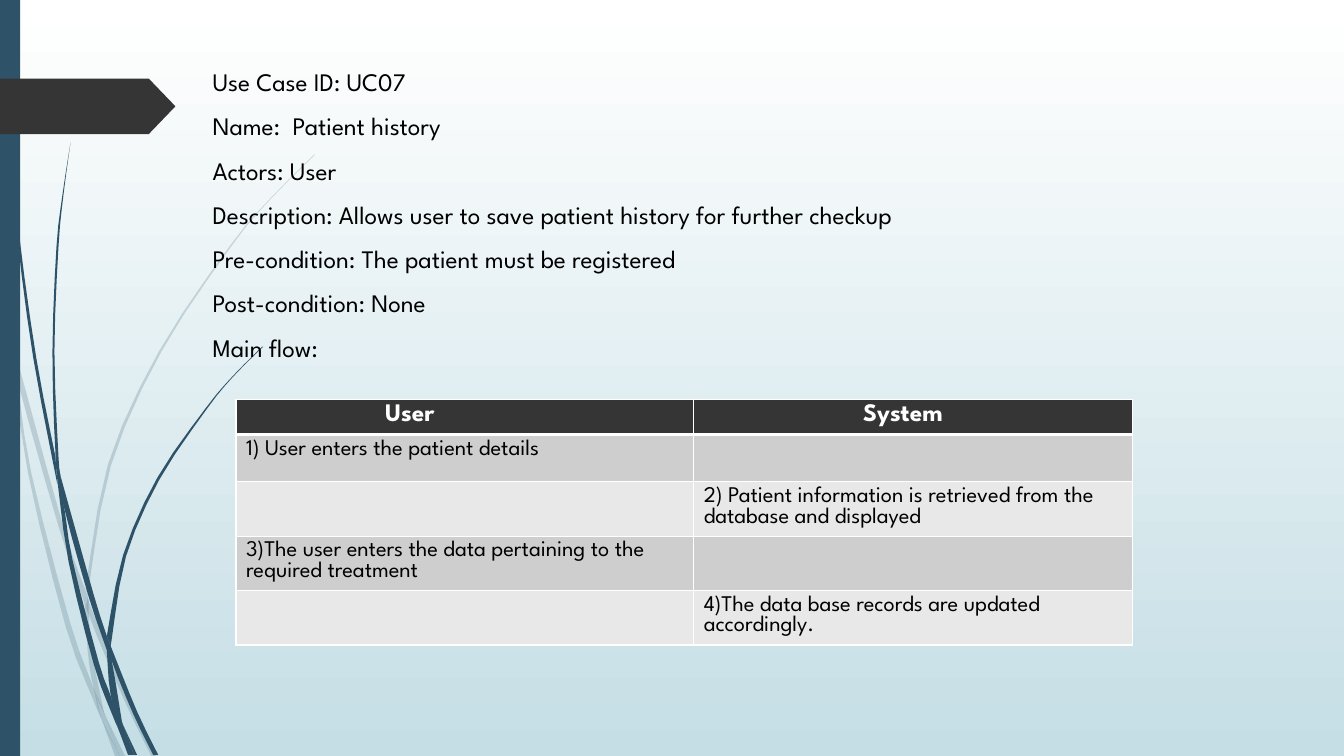
import lxml.etree
import pptx
import pptx.dml.color
import pptx.enum.shapes
import pptx.oxml.ns
import pptx.util

Inches = pptx.util.Inches
Shape = pptx.enum.shapes.MSO_SHAPE
qn = pptx.oxml.ns.qn


class Theme:
    font = "League Spartan"
    blue, dark, black, white = "2E5369", "353535", "000000", "FFFFFF"
    sky = "C5DEE5"
    bands = "CECECE", "E8E8E8"
    body, cell = 18, 16
    tight = 0.92


def color(code):
    return pptx.dml.color.RGBColor.from_string(code)


def write(frame, lines, size=Theme.body, ink=Theme.black, bold=False, before=0, pitch=None):
    frame.word_wrap = True
    for i, line in enumerate(lines):
        para = frame.add_paragraph() if i else frame.paragraphs[0]
        para.space_before = pptx.util.Pt(before)
        if pitch:
            para.line_spacing = pptx.util.Pt(size * pitch)
        run = para.add_run()
        run.text = line
        run.font.name = Theme.font
        run.font.size = pptx.util.Pt(size)
        run.font.bold = bold
        run.font.color.rgb = color(ink)


def smooth(knots, steps=3):
    if len(knots) < 3:
        return knots
    ends = [knots[0], *knots, knots[-1]]
    curve = []
    for a, b, c, d in zip(ends, ends[1:], ends[2:], ends[3:]):
        for i in range(steps):
            t = i / steps
            curve.append(tuple(
                q + t * (r - p) / 2 + t * t * (2 * p - 5 * q + 4 * r - s) / 2
                + t ** 3 * (3 * q - p - 3 * r + s) / 2
                for p, q, r, s in zip(a, b, c, d)))
    return curve + [knots[-1]]


class Board:
    def __init__(self, slide, theme):
        self.slide, self.theme = slide, theme

    def sky(self):
        fill = self.slide.background.fill
        fill.gradient()
        fill.gradient_angle = 270
        for stop, code in zip(fill.gradient_stops, (self.theme.white, self.theme.sky)):
            stop.color.rgb = color(code)

    def paint(self, shape, code, alpha=100):
        shape.shadow.inherit = False
        shape.fill.solid()
        shape.fill.fore_color.rgb = color(code)
        shape.line.fill.background()
        if alpha < 100:
            tint = shape.fill._xPr.find(".//" + qn("a:srgbClr"))
            lxml.etree.SubElement(tint, qn("a:alpha")).set("val", str(alpha * 1000))

    def shape(self, kind, box, code):
        item = self.slide.shapes.add_shape(kind, *map(Inches, box))
        self.paint(item, code)
        return item

    def blade(self, left, right, alpha):
        edge = smooth(left) + smooth(right)[::-1]
        dots = [(Inches(x), Inches(y)) for x, y in edge]
        pen = self.slide.shapes.build_freeform(*dots[0])
        pen.add_line_segments(dots[1:], close=True)
        self.paint(pen.convert_to_shape(), self.theme.blue, alpha)

    def text(self, box, lines, **style):
        write(self.slide.shapes.add_textbox(*map(Inches, box)).text_frame, lines, **style)

    def cell(self, cell, text, code, base=1, **style):
        if text:
            write(cell.text_frame, [text], pitch=self.theme.tight, **style)
        cell.fill.solid()
        cell.fill.fore_color.rgb = color(code)
        props = cell._tc.get_or_add_tcPr()
        for i, (side, width) in enumerate((("L", 1), ("R", 1), ("T", 1), ("B", base))):
            line = props.makeelement(qn("a:ln" + side), {"w": str(pptx.util.Pt(width))})
            fill = lxml.etree.SubElement(line, qn("a:solidFill"))
            lxml.etree.SubElement(fill, qn("a:srgbClr")).set("val", self.theme.white)
            props.insert(i, line)

    def table(self, box, cols, rows, heads, steps):
        grid = self.slide.shapes.add_table(len(rows), len(cols), *map(Inches, box)).table
        for col, width in zip(grid.columns, cols):
            col.width = Inches(width)
        for row, height in zip(grid.rows, rows):
            row.height = Inches(height)
        for j, (head, inset) in enumerate(heads):
            top = grid.cell(0, j)
            top.margin_left = Inches(inset)
            self.cell(top, head, self.theme.dark, base=3, ink=self.theme.white, bold=True)
        for i, step in enumerate(steps):
            for j in range(len(cols)):
                self.cell(grid.cell(i + 1, j), step if j == i % 2 else "",
                          self.theme.bands[i % 2], size=self.theme.cell)


PALE = [
    ([(0, 2.99), (0.1, 3.44), (0.11, 3.5)], [(0, 2.82), (0.09, 3.22), (0.11, 3.5)]),
    ([(0.14, 3.45), (0.17, 3.76), (0.58, 5.22), (0.84, 5.99)],
     [(0.14, 3.45), (0.62, 5.2), (0.85, 5.86)]),
    ([(0.88, 5.96), (0.88, 6.1), (1.23, 6.94), (1.5, 7.5)],
     [(0.88, 5.96), (0.92, 6.07), (1.27, 6.92), (1.55, 7.5)]),
    ([(1.05, 7.11), (1.19, 7.5)], [(1.05, 7.11), (1.24, 7.5)]),
    ([(0.11, 3.5), (0.28, 4.7), (0.65, 6.21), (0.92, 6.93), (1.01, 7.14)],
     [(0.11, 3.5), (0.17, 3.76), (0.31, 4.69), (0.7, 6.19), (0.93, 6.83), (0.99, 7.07)]),
    ([(0.84, 5.99), (0.87, 6.46), (0.93, 6.83), (1.05, 7.11)],
     [(0.84, 5.99), (0.88, 6.1), (0.91, 6.46), (1.03, 7.06)]),
    ([(3.12, 1.53), (2.68, 1.97), (2.28, 2.44), (1.58, 3.48), (1.07, 4.61), (0.85, 5.84)],
     [(3.12, 1.54), (2.68, 1.98), (2.29, 2.45), (1.6, 3.49), (1.1, 4.62), (0.88, 5.84),
      (0.88, 5.96)]),
    ([(1.01, 7.14), (1.14, 7.5)], [(1.01, 7.14), (1.19, 7.5)]),
    ([(0.85, 5.86), (0.84, 5.99)], [(0.88, 5.96), (0.88, 6.1)]),
    ([(0.93, 6.83), (1.01, 7.14), (1.19, 7.5)], [(0.93, 6.83), (1.05, 7.11), (1.19, 7.5)]),
]
DEEP = [
    ([(0.03, 0), (0.04, 0.48), (0.07, 1.1), (0.17, 2.33), (0.33, 3.55), (0.57, 4.81)],
     [(0.04, 0), (0.05, 0.48), (0.08, 1.09), (0.19, 2.32), (0.36, 3.55), (0.55, 4.53)]),
    ([(0.6, 4.72), (0.64, 5.05), (0.88, 5.92), (1.06, 6.45)],
     [(0.6, 4.72), (0.93, 5.9), (1.06, 6.31)]),
    ([(1.1, 6.41), (1.11, 6.56), (1.32, 7.08), (1.52, 7.49)],
     [(1.1, 6.41), (1.13, 6.49), (1.36, 7.06), (1.57, 7.49)]),
    ([(0.57, 4.77), (0.68, 5.57), (0.93, 6.59), (1.11, 7.08), (1.17, 7.22)],
     [(0.57, 4.77), (0.64, 5.05), (0.72, 5.56), (0.98, 6.57), (1.1, 6.91), (1.16, 7.17)]),
    ([(0.7, 1.41), (0.62, 1.93), (0.56, 2.45), (0.52, 3.49), (0.55, 4.49), (0.6, 4.72)],
     [(0.7, 1.41), (0.63, 1.93), (0.58, 2.45), (0.54, 3.49), (0.58, 4.53), (0.6, 4.72)]),
    ([(1.22, 7.19), (1.33, 7.49)], [(1.22, 7.19), (1.36, 7.49)]),
    ([(0.55, 4.49), (0.57, 4.77), (0.64, 5.05)], [(0.55, 4.49), (0.6, 4.72), (0.64, 5.05)]),
    ([(2.6, 3.44), (2.31, 3.73), (2.04, 4.05), (1.56, 4.74), (1.22, 5.51), (1.06, 6.31)],
     [(2.61, 3.44), (2.31, 3.74), (2.05, 4.06), (1.58, 4.76), (1.25, 5.52), (1.11, 6.33),
      (1.1, 6.41)]),
    ([(1.17, 7.22), (1.27, 7.49)], [(1.17, 7.22), (1.31, 7.49)]),
    ([(1.06, 6.45), (1.1, 6.91), (1.22, 7.19)], [(1.06, 6.45), (1.11, 6.56), (1.21, 7.16)]),
    ([(1.06, 6.31), (1.06, 6.45)], [(1.1, 6.41), (1.11, 6.56)]),
    ([(1.1, 6.91), (1.17, 7.22), (1.3, 7.49)], [(1.1, 6.91), (1.22, 7.19), (1.33, 7.49)]),
]
FACTS = [
    "Use Case ID: UC07",
    "Name:  Patient history",
    "Actors: User",
    "Description: Allows user to save patient history for further checkup",
    "Pre-condition: The patient must be registered",
    "Post-condition: None",
    "Main flow:",
]
STEPS = [
    "1) User enters the patient details",
    "2) Patient information is retrieved from the database and displayed",
    "3)The user enters the data pertaining to the required treatment",
    "4)The data base records are updated accordingly.",
]


def main():
    deck = pptx.Presentation()
    deck.slide_width, deck.slide_height = Inches(13.33), Inches(7.5)
    board = Board(deck.slides.add_slide(deck.slide_layouts[6]), Theme())
    board.sky()
    for blades, alpha in ((PALE, 20), (DEEP, 100)):
        for left, right in blades:
            board.blade(left, right, alpha)
    board.shape(Shape.RECTANGLE, (0, 0, 0.2, 7.5), Theme.blue)
    tag = board.shape(Shape.PENTAGON, (0, 0.78, 1.74, 0.55), Theme.dark)
    tag.adjustments[0] = 0.48
    board.text((2.01, 0.61, 11.32, 6.28), FACTS, before=10)
    board.table((2.34, 3.96, 8.89, 2.44), (4.54, 4.35), (0.35, 0.47, 0.54, 0.54, 0.54),
                (("User", 1.48), ("System", 1.68)), STEPS)
    deck.save("out.pptx")


if __name__ == "__main__":
    main()
